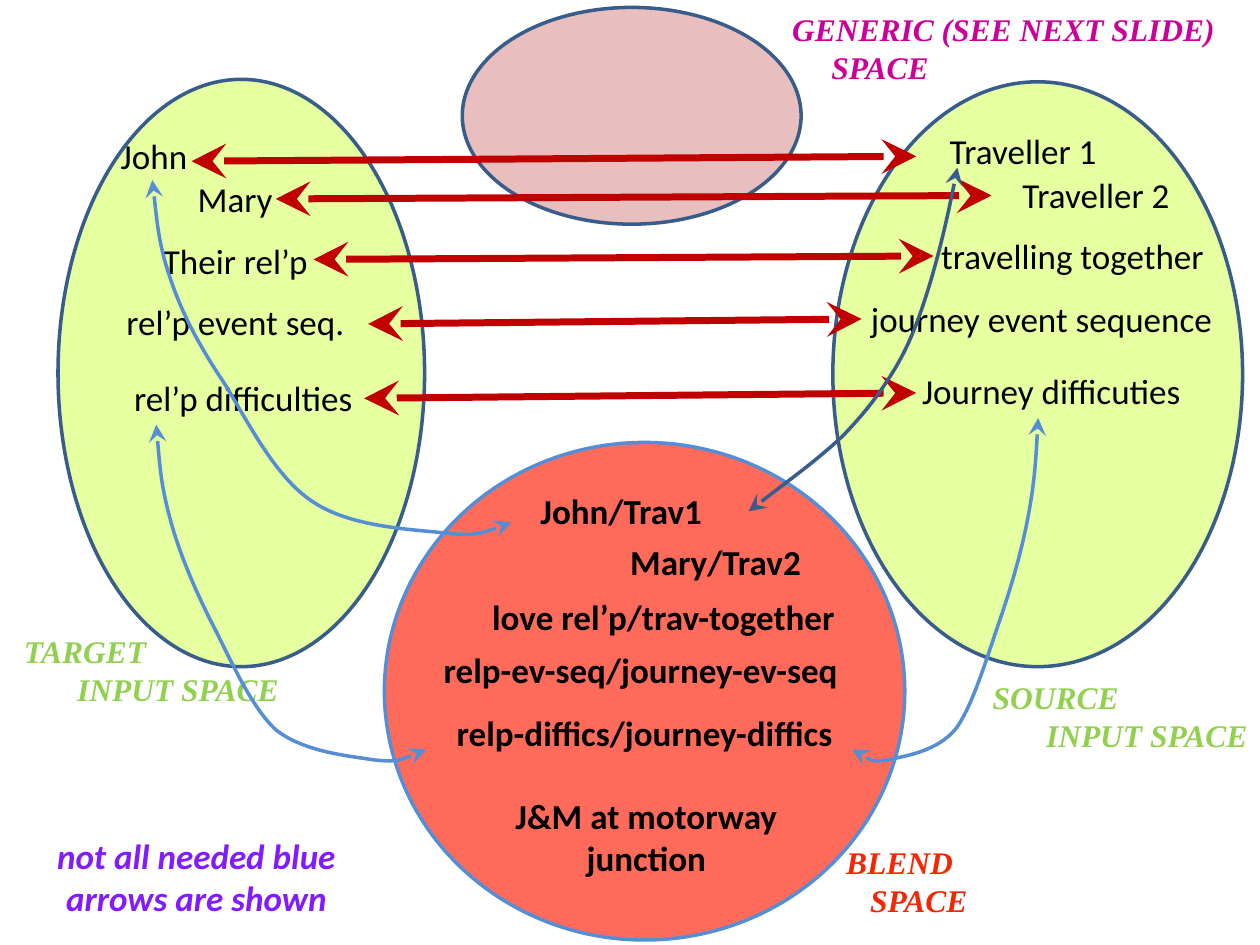
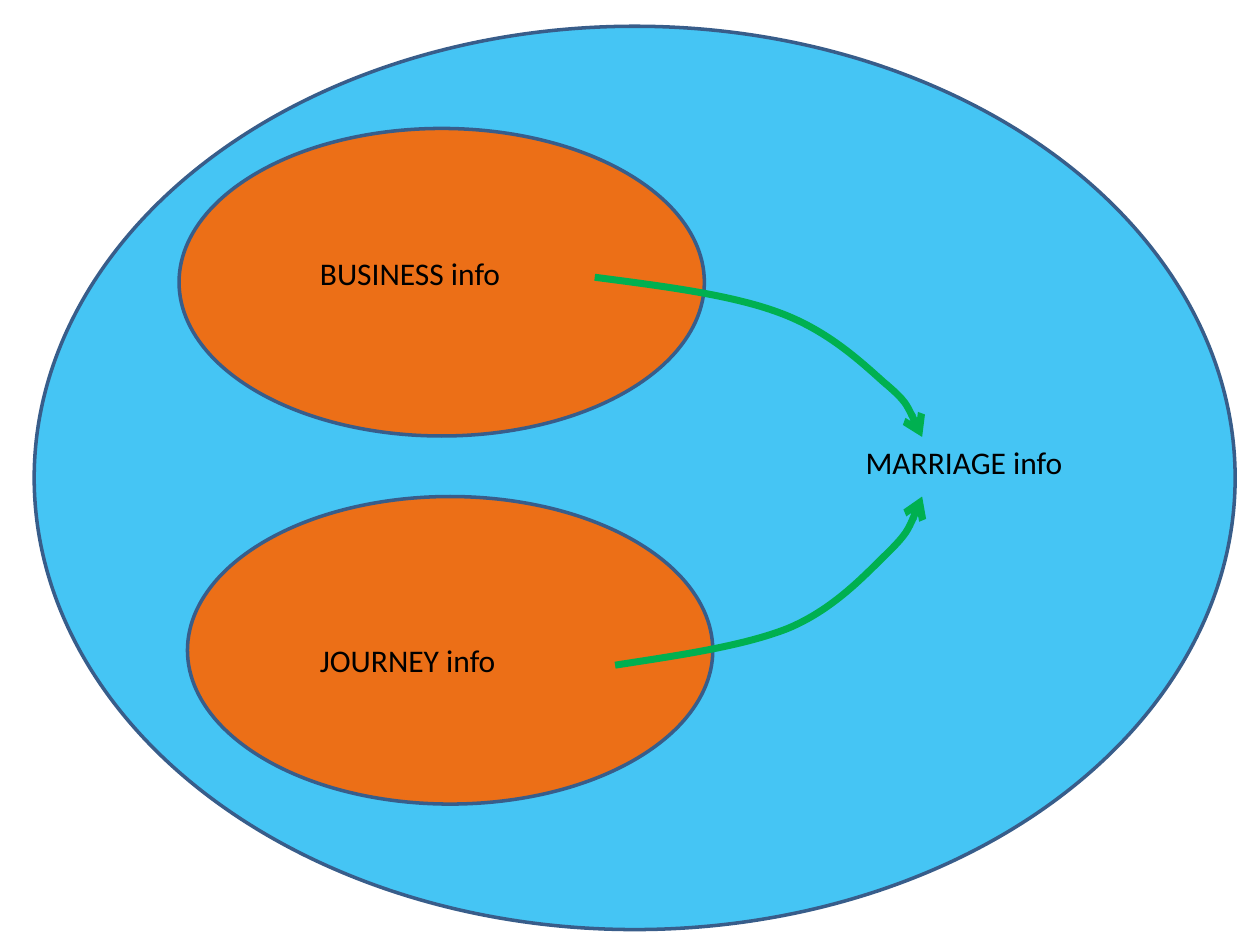
from lxml import etree
from pptx import Presentation
from pptx import util as u
from pptx.dml.color import RGBColor
from pptx.enum import shapes, text
from pptx.oxml import ns

BODY, LABEL = "Calibri", "Times New Roman"
BLACK, OUTLINE, BLUE = "000000", "385D8A", "558ED5"
RED, GREEN, LIME = "C00000", "00B050", "92D050"
LEFT, CENTER, RIGHT = text.PP_ALIGN.LEFT, text.PP_ALIGN.CENTER, text.PP_ALIGN.RIGHT

SPACES = [
    ((1.17, 1.6, 7.39, 11.84), "DDFF7D", 73, OUTLINE),
    ((7.75, 8.92, 10.49, 10.03), "FF6B5B", 100, BLUE),
    ((16.79, 1.65, 8.26, 11.79), "DDFF7D", 73, OUTLINE),
    ((9.32, 0.15, 6.83, 4.37), "E6B9B8", 90, OUTLINE),
]
MAPPINGS = [
    (("John", 2.18, 2.59, 1.85), ("Traveller 1", 17.73, 2.49, 5.79),
     (3.86, 3.25, 18.47, 3.15)),
    (("Mary", 3.56, 3.45, 2.36), ("Traveller 2", 19.53, 3.38, 5.13),
     (5.56, 4.01, 19.99, 3.94)),
    (("Their rel’p", 1.75, 4.7, 5.99), ("travelling together", 18.57, 4.6, 6.1),
     (6.32, 5.23, 18.82, 5.16)),
    (("rel’p event seq.", 1.52, 5.94, 6.45), ("journey event sequence", 17.25, 5.87, 7.49),
     (7.42, 6.53, 17.37, 6.43)),
    (("rel’p difficulties", 1.68, 7.47, 6.45), ("Journey difficuties", 17.73, 7.32, 6.93),
     (7.34, 8.03, 18.47, 7.92)),
]
BLENDED = [
    ("John/Trav1", 9.96, 9.75, 5.13),
    ("Mary/Trav2", 11.86, 10.77, 5.13),
    ("love rel’p/trav-together", 9.35, 11.89, 8.05),
    ("relp-ev-seq/journey-ev-seq", 8.51, 12.95, 8.81),
    ("relp-diffics/journey-diffics", 8.59, 14.22, 8.81),
    ("J&M at motorway junction", 9.4, 15.9, 7.26),
]
ARROW_NOTE = ("not all needed blue arrows are shown", 0.66, 16.69, 6.6)
SPACE_LABELS = [
    ("TARGET", "INPUT SPACE", 0.23, 12.62, 5.64, LIME, RIGHT, 0),
    ("SOURCE", "INPUT SPACE", 19.76, 13.54, 5.64, LIME, RIGHT, 0),
    ("BLEND", "SPACE", 16.81, 16.87, 3.3, "F52603", LEFT, 0.48),
    ("GENERIC (SEE NEXT SLIDE)", "SPACE", 15.72, 0.08, 9.6, "CC0099", LEFT, 0.79),
]
JOHN_CURVE = [
    (3.07, 3.63), (3.15, 4.29), (3.2, 4.95), (3.45, 5.66), (3.68, 6.35), (4.06, 7.04),
    (4.55, 7.77), (5, 8.51), (5.56, 9.63), (6.3, 10.11), (7.04, 10.62), (8.26, 10.67),
    (8.92, 10.74), (9.58, 10.82), (9.96, 10.67), (10.31, 10.54),
]
TRAVELLER_CURVE = [
    (19.3, 3.38), (19.15, 4.17), (18.97, 4.95), (18.77, 5.64), (18.57, 6.3),
    (18.39, 6.83), (18.08, 7.37), (17.78, 7.87), (17.48, 8.28), (16.99, 8.79),
    (16.48, 9.27), (15.77, 9.78), (15.09, 10.31),
]
RELATIONSHIP_CURVE = [
    (3.15, 8.56), (3.2, 9.17), (3.25, 9.8), (3.43, 10.46), (3.61, 11.13), (3.89, 11.79),
    (4.24, 12.5), (4.6, 13.18), (5.03, 14.22), (5.56, 14.71), (6.12, 15.16),
    (7.04, 15.24), (7.54, 15.32), (8.03, 15.37), (8.31, 15.24), (8.59, 15.11),
]
JOURNEY_CURVE = [(20.93 - 0.69 * (x - 3.15), 15.32 - 1.02 * (15.32 - y))
                 for x, y in RELATIONSHIP_CURVE]
BLEND_CURVES = [(JOHN_CURVE, BLUE), (TRAVELLER_CURVE, OUTLINE),
                (RELATIONSHIP_CURVE, BLUE), (JOURNEY_CURVE, BLUE)]

DOMAINS = [
    ((0.69, 0.53, 24.21, 18.21), "00B0F0", 73, OUTLINE),
    ((3.61, 2.59, 10.59, 6.2), "FF6600", 90, OUTLINE),
    ((3.78, 10.01, 10.59, 6.2), "FF6600", 90, OUTLINE),
]
INFO = [
    ("MARRIAGE info", 17.2, 8.81, 5),
    ("BUSINESS info", 6.2, 5, 5),
    ("JOURNEY info", 6.2, 12.8, 5),
]
INFO_CURVES = [
    [(11.99, 5.59), (13.36, 5.77), (14.73, 5.94), (15.7, 6.3), (16.66, 6.65),
     (17.32, 7.26), (17.81, 7.7), (18.29, 8.1), (18.44, 8.46), (18.59, 8.81)],
    [(12.4, 13.41), (13.69, 13.21), (14.96, 13.03), (15.88, 12.67), (16.79, 12.29),
     (17.4, 11.63), (17.86, 11.18), (18.31, 10.74), (18.47, 10.36), (18.59, 10.01)],
]


def paint(target, color):
    target.rgb = RGBColor.from_string(color)


def stroke(shape, color, points, **arrowheads):
    shape.line.width = u.Pt(points)
    paint(shape.line.color, color)
    ln = shape.element.spPr.find(ns.qn("a:ln"))
    for end in ("headEnd", "tailEnd"):
        if end in arrowheads:
            kind, size = arrowheads[end]
            etree.SubElement(ln, ns.qn(f"a:{end}"), type=kind, w=size, len=size)


def add_ellipse(slide, box, color, opacity, outline):
    oval = slide.shapes.add_shape(shapes.MSO_SHAPE.OVAL, *map(u.Cm, box))
    oval.shadow.inherit = False
    oval.fill.solid()
    paint(oval.fill.fore_color, color)
    if opacity < 100:
        tint = oval.element.spPr.find(ns.qn("a:solidFill"))[0]
        etree.SubElement(tint, ns.qn("a:alpha"), val=str(opacity * 1000))
    stroke(oval, outline, 2)


def add_text(slide, lines, left, top, width, size=20, font=BODY, color=BLACK,
             bold=False, italic=False):
    box = slide.shapes.add_textbox(u.Cm(left), u.Cm(top), u.Cm(width), u.Cm(1.12))
    frame = box.text_frame
    frame.word_wrap = True
    frame.auto_size = text.MSO_AUTO_SIZE.SHAPE_TO_FIT_TEXT
    for i, (words, align, indent) in enumerate(lines):
        paragraph = frame.add_paragraph() if i else frame.paragraphs[0]
        paragraph.alignment = align
        if indent:
            paragraph._p.get_or_add_pPr().set("marL", str(u.Cm(indent)))
        run = paragraph.add_run()
        run.text = words
        run.font.name, run.font.size = font, u.Pt(size)
        run.font.bold, run.font.italic = bold, italic
        paint(run.font.color, color)


def add_line_of_text(slide, item, align=CENTER, **style):
    words, *place = item
    add_text(slide, [(words, align, 0)], *place, **style)


def add_mapping(slide, ends):
    arrow = slide.shapes.add_connector(shapes.MSO_CONNECTOR.STRAIGHT, *map(u.Cm, ends))
    stroke(arrow, RED, 4, headEnd=("stealth", "lg"), tailEnd=("stealth", "lg"))
    etree.SubElement(arrow.element.spPr, ns.qn("a:effectLst"))


def add_curve(slide, points, color, width, **arrowheads):
    start, *rest = [(u.Cm(x), u.Cm(y)) for x, y in points]
    builder = slide.shapes.build_freeform(*start)
    builder.add_line_segments(rest, close=False)
    curve = builder.convert_to_shape()
    segments = curve.element.xpath(".//a:lnTo")
    for i in range(0, len(segments), 3):
        bezier = etree.Element(ns.qn("a:cubicBezTo"))
        segments[i].addprevious(bezier)
        for segment in segments[i:i + 3]:
            bezier.append(segment[0])
            segment.getparent().remove(segment)
    curve.shadow.inherit = False
    curve.fill.background()
    stroke(curve, color, width, **arrowheads)


def build_blend(slide):
    for space in SPACES:
        add_ellipse(slide, *space)
    for target, source, ends in MAPPINGS:
        add_line_of_text(slide, target)
        add_line_of_text(slide, source)
        add_mapping(slide, ends)
    for item in BLENDED:
        add_line_of_text(slide, item, bold=True)
    add_line_of_text(slide, ARROW_NOTE, color="821BFF", bold=True, italic=True)
    for name, kind, left, top, width, color, align, indent in SPACE_LABELS:
        add_text(slide, [(name, LEFT, 0), (kind, align, indent)], left, top, width,
                 size=18, font=LABEL, color=color, bold=True, italic=True)
    for points, color in BLEND_CURVES:
        add_curve(slide, points, color, 2,
                  headEnd=("stealth", "lg"), tailEnd=("stealth", "lg"))


def build_generic(slide):
    for domain in DOMAINS:
        add_ellipse(slide, *domain)
    for item in INFO:
        add_line_of_text(slide, item, LEFT, size=18)
    for points in INFO_CURVES:
        add_curve(slide, points, GREEN, 4, tailEnd=("arrow", "med"))


def main():
    deck = Presentation()
    deck.slide_width, deck.slide_height = u.Cm(25.4), u.Cm(19.05)
    for build in (build_blend, build_generic):
        build(deck.slides.add_slide(deck.slide_layouts[6]))
    deck.save("out.pptx")


if __name__ == "__main__":
    main()
